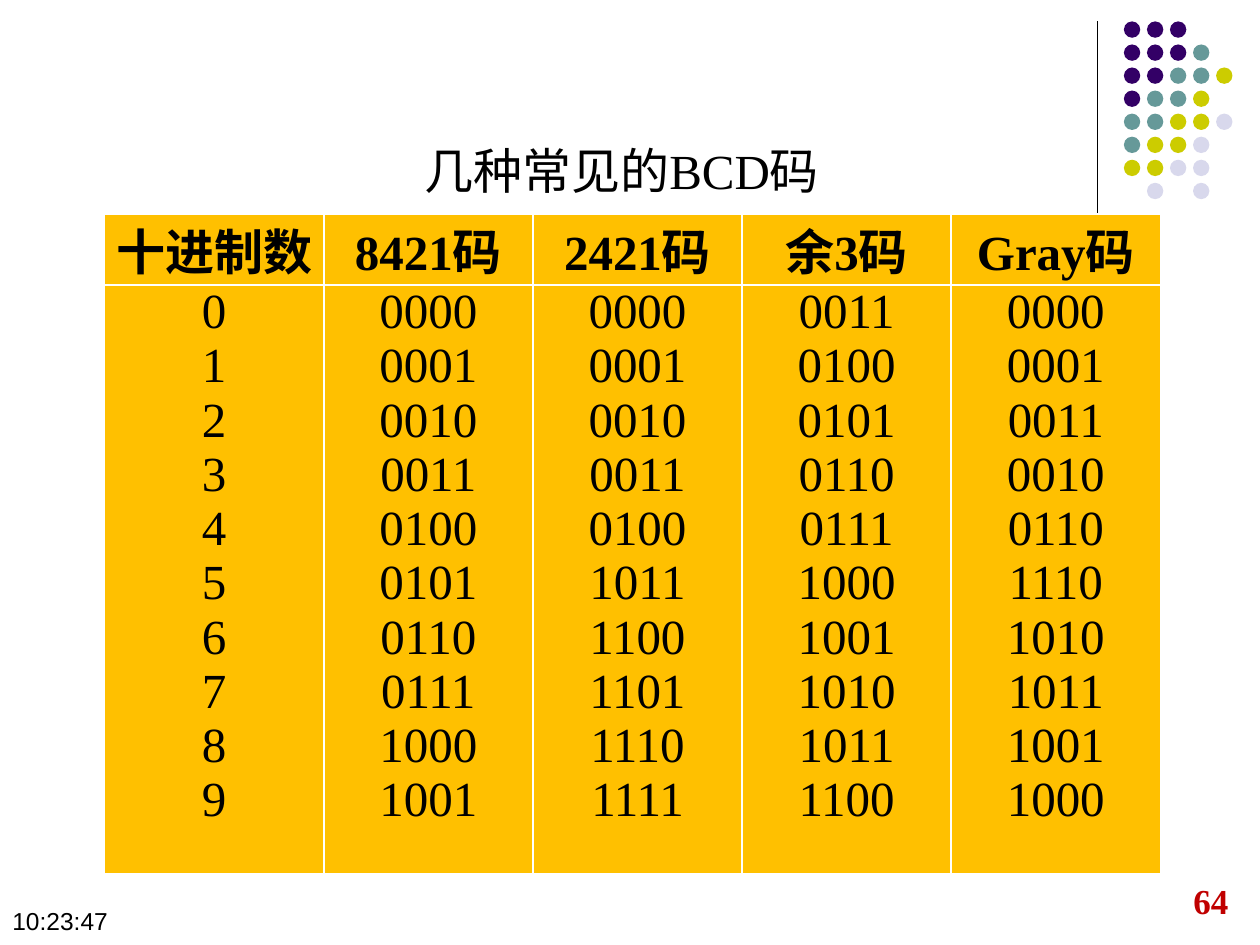
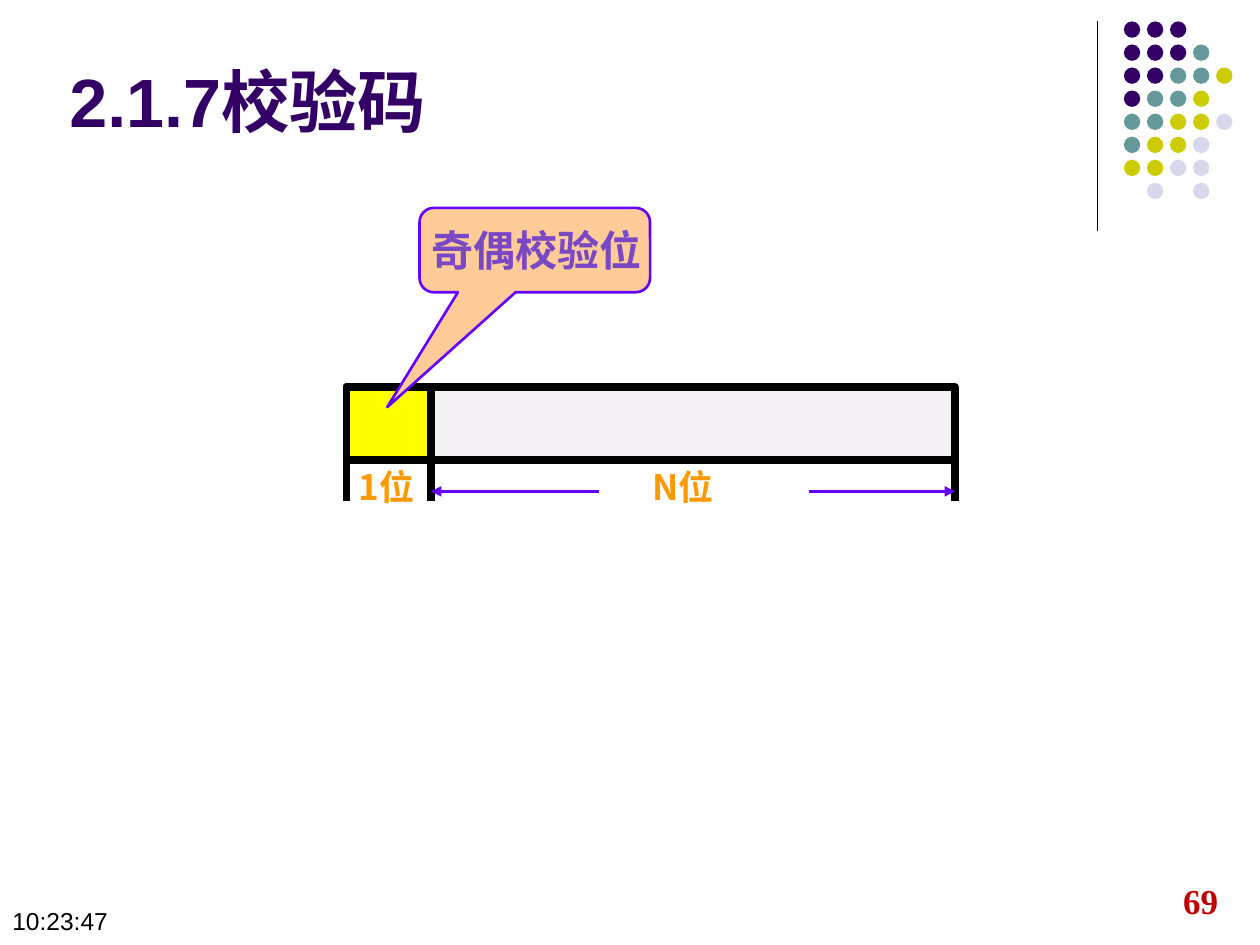
from lxml import etree
from pptx import Presentation
from pptx.dml.color import RGBColor
from pptx.enum.shapes import MSO_CONNECTOR, MSO_SHAPE
from pptx.enum.text import MSO_ANCHOR, MSO_AUTO_SIZE, PP_ALIGN
from pptx.oxml.ns import qn
from pptx.util import Inches, Pt

STRAIGHT = MSO_CONNECTOR.STRAIGHT
OVAL, RECT = MSO_SHAPE.OVAL, MSO_SHAPE.RECTANGLE
CALLOUT = MSO_SHAPE.ROUNDED_RECTANGULAR_CALLOUT
MIDDLE, TOP = MSO_ANCHOR.MIDDLE, MSO_ANCHOR.TOP
NO_FIT = MSO_AUTO_SIZE.NONE
LEFT, CENTER = PP_ALIGN.LEFT, PP_ALIGN.CENTER

COLORS = {
    "black": "000000", "purple": "330066", "teal": "669999", "olive": "CCCC00",
    "lavender": "D8D8EC", "amber": "FFC000", "red": "C00000", "violet": "6600FF",
    "lilac": "7A48C4", "peach": "FFCC99", "yellow": "FFFF00", "orange": "FF9900",
    "pale": "F4F1F5",
}
SERIF, SANS, CJK = "Times New Roman", "Arial", "Noto Sans CJK SC"

DOT_ROWS = ["PPP", "PPPT", "PPTTO", "PTTO", "TTOOL", "TOOL", "OOLL", " L L"]
DOT_COLORS = {"P": "purple", "T": "teal", "O": "olive", "L": "lavender"}
DOT_LEFT, DOT_TOP, DOT_STEP, DOT_SIZE = 8.92, 0.17, 0.183, 0.13
TIME = "10:23:47"

BCD_TITLE = "几种常见的BCD码"
BCD_CODES = {
    "十进制数": [str(n) for n in range(10)],
    "8421码": [f"{n:04b}" for n in range(10)],
    "2421码": [f"{n if n < 5 else n + 6:04b}" for n in range(10)],
    "余3码": [f"{n + 3:04b}" for n in range(10)],
    "Gray码": ["0000", "0001", "0011", "0010", "0110",
              "1110", "1010", "1011", "1001", "1000"],
}
BCD_WIDTHS = [1.74] + [1.66] * 4
BCD_HEIGHTS = [0.47, 4.67]

CHECK_TITLE = "2.1.7校验码"
PARITY_LABEL = "奇偶校验位"
WORD_LEFT, WORD_SPLIT, WORD_RIGHT = 2.75, 3.42, 7.58
WORD_TOP, WORD_BOTTOM, TICK_BOTTOM = 3.07, 3.65, 3.98
TICKS = [(WORD_SPLIT, WORD_TOP, WORD_BOTTOM), (WORD_SPLIT, 3.4, TICK_BOTTOM),
         (WORD_RIGHT, 3.48, TICK_BOTTOM), (WORD_LEFT, 3.48, TICK_BOTTOM)]
ARROW_Y = 3.9
ARROWS = [(6.42, WORD_RIGHT), (4.75, WORD_SPLIT)]
WIDTH_LABELS = [("N位", 5.08), ("1位", WORD_LEFT)]


def rgb(name):
    return RGBColor.from_string(COLORS[name])


def add_run(p, text, size, font, color, bold=False):
    r = p.add_run()
    r.text = text
    r.font.size, r.font.name, r.font.bold = Pt(size), font, bold
    r.font.color.rgb = rgb(color)
    ea = etree.SubElement(r._r.get_or_add_rPr(), qn("a:ea"))
    ea.set("typeface", CJK)


def write(sp, text, size, font, color, bold=False, align=LEFT):
    tf = sp.text_frame
    tf.word_wrap = True
    tf.auto_size = NO_FIT
    tf.vertical_anchor = MIDDLE
    p = tf.paragraphs[0]
    p.alignment = align
    add_run(p, text, size, font, color, bold)


def add_text(s, box, *style, **options):
    write(s.shapes.add_textbox(*map(Inches, box)), *style, **options)


def add_title(s, box, *style, **options):
    sp = s.shapes.title
    sp.left, sp.top, sp.width, sp.height = map(Inches, box)
    write(sp, *style, **options)


def add_shape(s, kind, box, fill, line=None, width=0):
    sp = s.shapes.add_shape(kind, *map(Inches, box))
    sp.shadow.inherit = False
    sp.fill.solid()
    sp.fill.fore_color.rgb = rgb(fill)
    if line:
        sp.line.color.rgb = rgb(line)
        sp.line.width = Pt(width)
    else:
        sp.line.fill.background()
    return sp


def add_line(s, x1, y1, x2, y2, color, width, arrow=False):
    line = s.shapes.add_connector(STRAIGHT, *map(Inches, (x1, y1, x2, y2)))
    line.line.color.rgb = rgb(color)
    line.line.width = Pt(width)
    if arrow:
        etree.SubElement(line.line._get_or_add_ln(), qn("a:tailEnd"), type="triangle")
    etree.SubElement(line._element.spPr, qn("a:effectLst"))


def add_slide(prs, number, number_left):
    s = prs.slides.add_slide(prs.slide_layouts[5])
    add_line(s, 8.71, 0.17, 8.71, 1.83, "black", 0.75)
    for i, row in enumerate(DOT_ROWS):
        for j, key in enumerate(row):
            if key in DOT_COLORS:
                box = (DOT_LEFT + j * DOT_STEP, DOT_TOP + i * DOT_STEP, DOT_SIZE, DOT_SIZE)
                add_shape(s, OVAL, box, DOT_COLORS[key])
    add_text(s, (number_left, 6.9, 0.56, 0.5), number, 20, SERIF, "red",
             bold=True, align=CENTER)
    add_text(s, (0, 7.14, 2.24, 0.34), TIME, 14, SANS, "black")
    return s


def fill_cell(cell, lines, bold):
    cell.fill.solid()
    cell.fill.fore_color.rgb = rgb("amber")
    cell.margin_left = cell.margin_right = Inches(0.08)
    cell.margin_top = cell.margin_bottom = 0
    cell.vertical_anchor = TOP
    tf = cell.text_frame
    for i, text in enumerate(lines):
        p = tf.add_paragraph() if i else tf.paragraphs[0]
        p.alignment = CENTER
        add_run(p, text, 28, SERIF, "black", bold)


def build_bcd_slide(prs):
    s = add_slide(prs, "64", 9.33)
    add_title(s, (3.27, 1.07, 3.7, 0.55), BCD_TITLE, 28, SERIF, "black")
    box = (0.83, 1.7, sum(BCD_WIDTHS), sum(BCD_HEIGHTS))
    table = s.shapes.add_table(2, len(BCD_CODES), *map(Inches, box)).table
    table.first_row = table.horz_banding = False
    for row, height in zip(table.rows, BCD_HEIGHTS):
        row.height = Inches(height)
    for j, (name, codes) in enumerate(BCD_CODES.items()):
        table.columns[j].width = Inches(BCD_WIDTHS[j])
        fill_cell(table.cell(0, j), [name], True)
        fill_cell(table.cell(1, j), codes, False)


def build_check_slide(prs):
    s = add_slide(prs, "69", 9.25)
    add_title(s, (0.45, 0.36, 3.53, 0.87), CHECK_TITLE, 39, SANS, "purple", bold=True)
    height = WORD_BOTTOM - WORD_TOP
    add_shape(s, RECT, (WORD_LEFT, WORD_TOP, WORD_RIGHT - WORD_LEFT, height),
              "pale", "black", 4.5)
    for x, top, bottom in TICKS:
        add_line(s, x, top, x, bottom, "black", 4.5)
    for start, end in ARROWS:
        add_line(s, start, ARROW_Y, end, ARROW_Y, "violet", 1.5, arrow=True)
    for text, left in WIDTH_LABELS:
        add_text(s, (left, WORD_BOTTOM, 1.17, 0.43), text, 20, CJK, "orange", bold=True)
    add_shape(s, RECT, (WORD_LEFT, WORD_TOP, WORD_SPLIT - WORD_LEFT, height),
              "yellow", "black", 4.5)
    callout = add_shape(s, CALLOUT, (3.33, 1.65, 1.83, 0.67), "peach", "violet", 1.5)
    for i, value in enumerate((-0.64, 1.86, 0.17)):
        callout.adjustments[i] = value
    add_text(s, (3.33, 1.73, 2.17, 0.5), PARITY_LABEL, 24, SERIF, "lilac", bold=True)


def main():
    prs = Presentation()
    prs.slide_width, prs.slide_height = Inches(10), Inches(7.5)
    build_bcd_slide(prs)
    build_check_slide(prs)
    prs.save("out.pptx")


if __name__ == "__main__":
    main()
